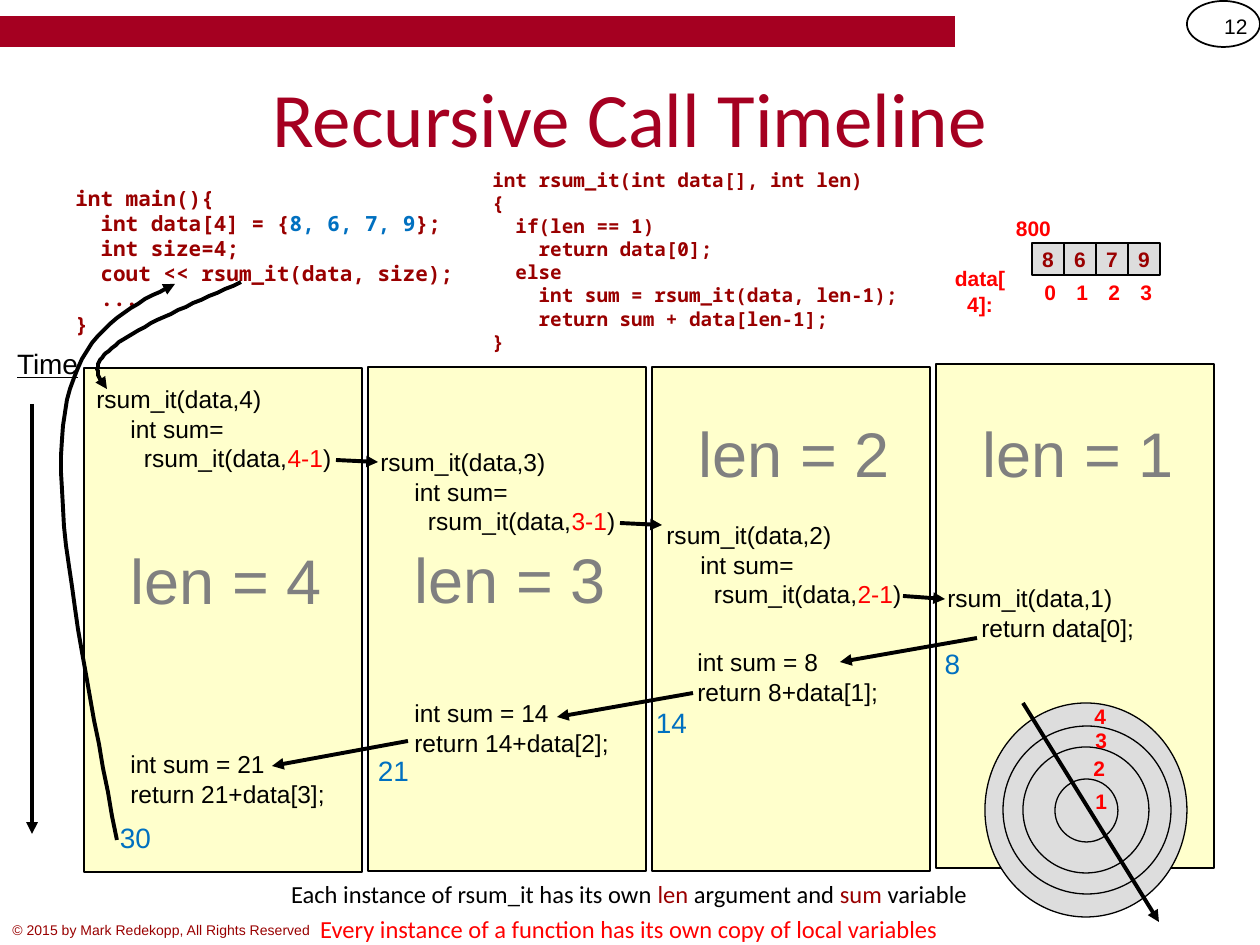
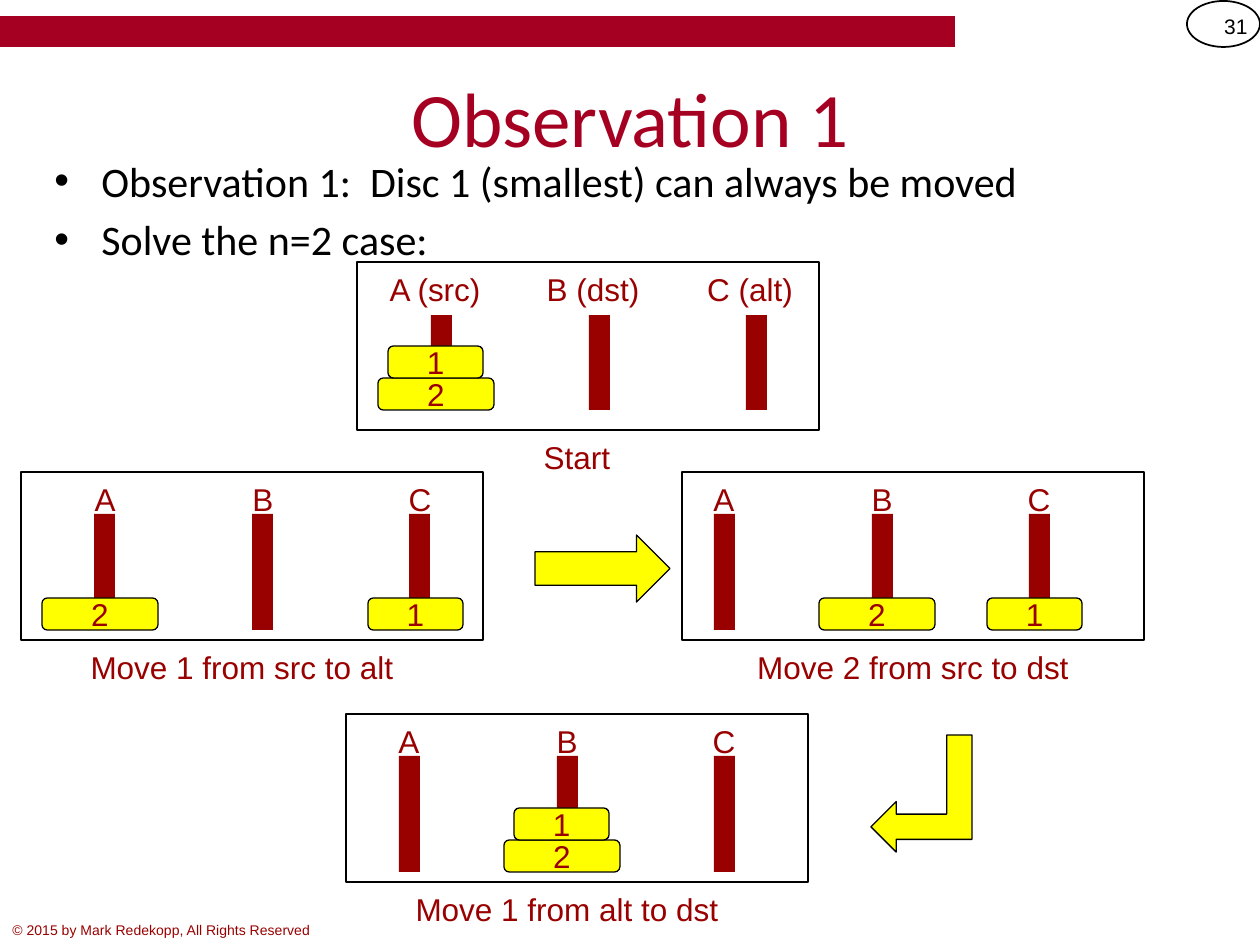
import lxml.etree
import pptx
import pptx.dml.color
import pptx.enum.shapes
import pptx.enum.text
import pptx.oxml.ns
import pptx.util

PX = 914400 / 126
rgb = pptx.dml.color.RGBColor.from_string
qn = pptx.oxml.ns.qn
SHAPE = pptx.enum.shapes.MSO_SHAPE
ALIGN = pptx.enum.text.PP_ALIGN
ANCHOR = pptx.enum.text.MSO_ANCHOR

CRIMSON, MAROON, RED, BLUE = "A50021", "990000", "FF0000", "0070C0"
BLACK, GRAY, SILVER = "000000", "808080", "DDDDDD"
CREAM, YELLOW = "FFFFCC", "FFFF00"
MONO = "Noto Sans Mono"


def add_box(page, kind, area, paragraphs=(), size=14, ink=BLACK, font="Arial", bold=False,
            fill=None, line=None, weight=0.75, align=ALIGN.CENTER, anchor=ANCHOR.TOP,
            wrap=True, before=0, pitch=None):
    place = [round(value * PX) for value in area]
    if kind is None:
        box = page.shapes.add_textbox(*place)
    else:
        box = page.shapes.add_shape(kind, *place)
        box.shadow.inherit = False
        if fill:
            box.fill.solid()
            box.fill.fore_color.rgb = rgb(fill)
        else:
            box.fill.background()
        if line:
            box.line.color.rgb = rgb(line)
            box.line.width = pptx.util.Pt(weight)
        else:
            box.line.fill.background()
    frame = box.text_frame
    frame.word_wrap = wrap
    frame.vertical_anchor = anchor
    for index, content in enumerate(paragraphs):
        para = frame.add_paragraph() if index else frame.paragraphs[0]
        para.alignment = align
        if index and before:
            para.space_before = pptx.util.Pt(before)
        if pitch:
            para.line_spacing = pptx.util.Pt(pitch)
        runs = [(content, ink)] if isinstance(content, str) else content
        for words, color in runs:
            span = para.add_run()
            span.text = words
            span.font.size = pptx.util.Pt(size)
            span.font.name = font
            span.font.bold = bold
            span.font.color.rgb = rgb(color)
    return box


def style_arrow(arrow):
    arrow.line.color.rgb = rgb(BLACK)
    arrow.line.width = pptx.util.Pt(2.25)
    properties = arrow._element.spPr
    lxml.etree.SubElement(properties.find(qn("a:ln")), qn("a:tailEnd"), type="triangle")
    lxml.etree.SubElement(properties, qn("a:effectLst"))


deck = pptx.Presentation()
deck.slide_width = round(1260 * PX)
deck.slide_height = round(945 * PX)

pages = []
for number, heading in (("12", "Recursive Call Timeline"), ("31", "Observation 1")):
    page = deck.slides.add_slide(deck.slide_layouts[5])
    pages.append(page)
    add_box(page, SHAPE.RECTANGLE, (0, 16, 955, 31), fill=CRIMSON)
    add_box(page, SHAPE.OVAL, (1187, 1, 73, 46), line=BLACK, weight=1)
    add_box(page, None, (1187, 1, 73, 50), [number], size=12, align=ALIGN.RIGHT, anchor=ANCHOR.MIDDLE)
    add_box(page, None, (0, 915, 672, 30), ["© 2015 by Mark Redekopp, All Rights Reserved"],
            size=8, ink=MAROON, align=ALIGN.LEFT)
    title = page.shapes.title
    title.left, title.top, title.width, title.height = [round(value * PX) for value in (63, 38, 1134, 158)]
    title.text_frame.vertical_anchor = ANCHOR.MIDDLE
    para = title.text_frame.paragraphs[0]
    para.alignment = ALIGN.CENTER
    span = para.add_run()
    span.text = heading
    span.font.size = pptx.util.Pt(44)
    span.font.name = "Calibri"
    span.font.color.rgb = rgb(CRIMSON)

timeline, observation = pages

for column, (top, label_top) in enumerate(((368, 535), (367, 534), (367, 408), (364, 408))):
    left = 84 + 284 * column
    add_box(timeline, SHAPE.RECTANGLE, (left, top, 278, 504), fill=CREAM, line=BLACK)
    add_box(timeline, None, (left, label_top, 284, 105), [f"len = {4 - column}"], size=36, ink=GRAY)

for left, top, length in ((84, 378, 4), (368, 441, 3), (654, 514, 2), (935, 577, 1)):
    call = [f"rsum_it(data,{length})"]
    if length > 1:
        call += ["     int sum=",
                 [("       rsum_it(data,", BLACK), (f"{length}-1", RED), (")", BLACK)]]
    else:
        call.append("     return data[0];")
    add_box(timeline, None, (left, top, 278, 84), call, align=ALIGN.LEFT, pitch=16.8)

for left, top, total, item in ((651, 641, 8, 1), (368, 692, 14, 2), (84, 743, 21, 3)):
    add_box(timeline, None, (left, top, 278, 73),
            [f"     int sum = {total}", f"     return {total}+data[{item}];"],
            align=ALIGN.LEFT, pitch=16.8)

for left, top, value in ((921, 640, "8"), (640, 699, "14"), (362, 747, "21"), (104, 814, "30")):
    add_box(timeline, None, (left, top, 63, 42), [value], size=16, ink=BLUE)

time_box = add_box(timeline, None, (0, 340, 95, 57), ["Time"], size=16)
time_box.text_frame.paragraphs[0].runs[0].font.underline = True

main_code = [
    "int main(){",
    [("  int data[4] = {", MAROON), ("8, 6, 7, 9", BLUE), ("};", MAROON)],
    "  int size=4;",
    "  cout << rsum_it(data, size);",
    "  ...",
    "}",
]
function_code = [
    "int rsum_it(int data[], int len)",
    "{",
    "  if(len == 1)",
    "    return data[0];",
    "  else",
    "    int sum = rsum_it(data, len-1);",
    "    return sum + data[len-1];",
    "}",
]
add_box(timeline, None, (63, 179, 630, 190), main_code, size=12, ink=MAROON, font=MONO,
        bold=True, align=ALIGN.LEFT, pitch=14.4)
add_box(timeline, None, (480, 162, 630, 199), function_code, size=11, ink=MAROON, font=MONO,
        bold=True, align=ALIGN.LEFT, pitch=13.2)

small_label = dict(size=12, bold=True, anchor=ANCHOR.MIDDLE, wrap=False)
for index, value in enumerate("8679"):
    left = 1032 + 32 * index
    add_box(timeline, SHAPE.RECTANGLE, (left, 243, 32, 32), [value], ink=MAROON,
            fill=SILVER, line=BLACK, **small_label)
    add_box(timeline, None, (left, 276, 32, 32), [str(index)], ink=RED, **small_label)
add_box(timeline, None, (939, 275, 82, 32), ["data[4]:"], ink=RED, **small_label)
add_box(timeline, None, (1002, 212, 63, 32), ["800"], ink=RED, **small_label)

for ring in ((985, 703, 202, 214), (1003, 726, 168, 168), (1023, 747, 126, 126), (1055, 779, 63, 63)):
    add_box(timeline, SHAPE.OVAL, ring, fill=SILVER, line=BLACK)

add_box(timeline, None, (62, 873, 1134, 70), [
    [("Each instance of rsum_it has its own ", BLACK), ("len ", MAROON), ("argument and ", BLACK),
     ("sum", MAROON), (" variable", BLACK)],
    [("Every instance of a function has its own copy of local variables", RED)],
], font="Calibri", before=2.8)

arrows = (
    (32, 404, 32, 834),
    (336, 460, 378, 462), (620, 523, 662, 525), (903, 596, 945, 599),
    (977, 638, 840, 662), (693, 693, 557, 717), (408, 741, 272, 766),
    (1023, 703, 1159, 922),
)
for ends in arrows:
    arrow = timeline.shapes.add_connector(pptx.enum.shapes.MSO_CONNECTOR.STRAIGHT,
                                          *[round(value * PX) for value in ends])
    style_arrow(arrow)

for middle_x, middle_y, depth in ((1098, 716, "4"), (1099, 740, "3"), (1097, 768, "2"), (1099, 801, "1")):
    add_box(timeline, None, (middle_x - 16, middle_y - 16, 32, 32), [depth], ink=RED, **small_label)

return_curve = ((117, 840), (86, 679), (53, 519), (63, 426), (73, 333), (125, 309), (175, 284))
call_curve = ((241, 282), (186, 306), (134, 329), (112, 348), (89, 365), (98, 378), (107, 389))
for curve in (return_curve, call_curve):
    points = []
    for start in (0, 3):
        a, b, c, d = curve[start:start + 4]
        for step in range(1, 21):
            t = step / 20
            u = 1 - t
            points.append([u**3 * a[axis] + 3 * u * u * t * b[axis] + 3 * u * t * t * c[axis] + t**3 * d[axis]
                           for axis in (0, 1)])
    builder = timeline.shapes.build_freeform(*curve[0], scale=PX)
    builder.add_line_segments(points, close=False)
    arrow = builder.convert_to_shape()
    arrow.fill.background()
    style_arrow(arrow)

bullets = add_box(observation, None, (42, 149, 1176, 199),
                  ["Observation 1:  Disc 1 (smallest) can always be moved", "Solve the n=2 case:"],
                  size=24, font="Calibri", align=ALIGN.LEFT, before=4.8)
for para in bullets.text_frame.paragraphs:
    settings = para._p.get_or_add_pPr()
    settings.set("marL", str(round(47 * PX)))
    settings.set("indent", str(round(-47 * PX)))
    lxml.etree.SubElement(settings, qn("a:buFont"), typeface="Arial")
    lxml.etree.SubElement(settings, qn("a:buChar"), char="•")

panels = (
    (357, 262, 431, 53, 95, 435, ("A (src)", "B (dst)", "C (alt)"),
     (("2", 378, 0), ("1", 388, 1)), "Start", 577),
    (21, 472, 94, 42, 116, 105, "ABC", (("2", 42, 0), ("1", 368, 0)), "Move 1 from src to alt", 242),
    (682, 472, 714, 42, 116, 724, "ABC", (("2", 819, 0), ("1", 987, 0)), "Move 2 from src to dst", 913),
    (346, 714, 399, 42, 116, 409, "ABC", (("2", 504, 0), ("1", 514, 1)), "Move 1 from alt to dst", 567),
)
for left, top, peg_left, peg_drop, peg_height, label_middle, names, discs, caption, middle in panels:
    add_box(observation, SHAPE.RECTANGLE, (left, top, 462, 168), line=BLACK)
    for index, name in enumerate(names):
        shift = round(157.5 * index)
        add_box(observation, SHAPE.RECTANGLE, (peg_left + shift, top + peg_drop, 21, peg_height), fill=MAROON)
        add_box(observation, None, (label_middle + shift - 110, top + 2, 220, 42), [name], size=18, ink=MAROON)
    floor = top + peg_drop + peg_height
    for disc, disc_left, level in discs:
        width = 116 if disc == "2" else 95
        add_box(observation, SHAPE.ROUNDED_RECTANGLE, (disc_left, floor - 32 * (level + 1), width, 32),
                [disc], size=18, ink=MAROON, fill=YELLOW, line=BLACK, anchor=ANCHOR.MIDDLE)
    add_box(observation, None, (middle - 189, top + 170, 378, 42), [caption], size=18, ink=MAROON)

add_box(observation, SHAPE.RIGHT_ARROW, (535, 535, 135, 67), fill=YELLOW, line=BLACK)
turn = add_box(observation, SHAPE.BENT_UP_ARROW, (863, 743, 117, 101), fill=YELLOW, line=BLACK)
turn.rotation = 90
turn._element.spPr.xfrm.set("flipV", "1")

deck.save("out.pptx")
